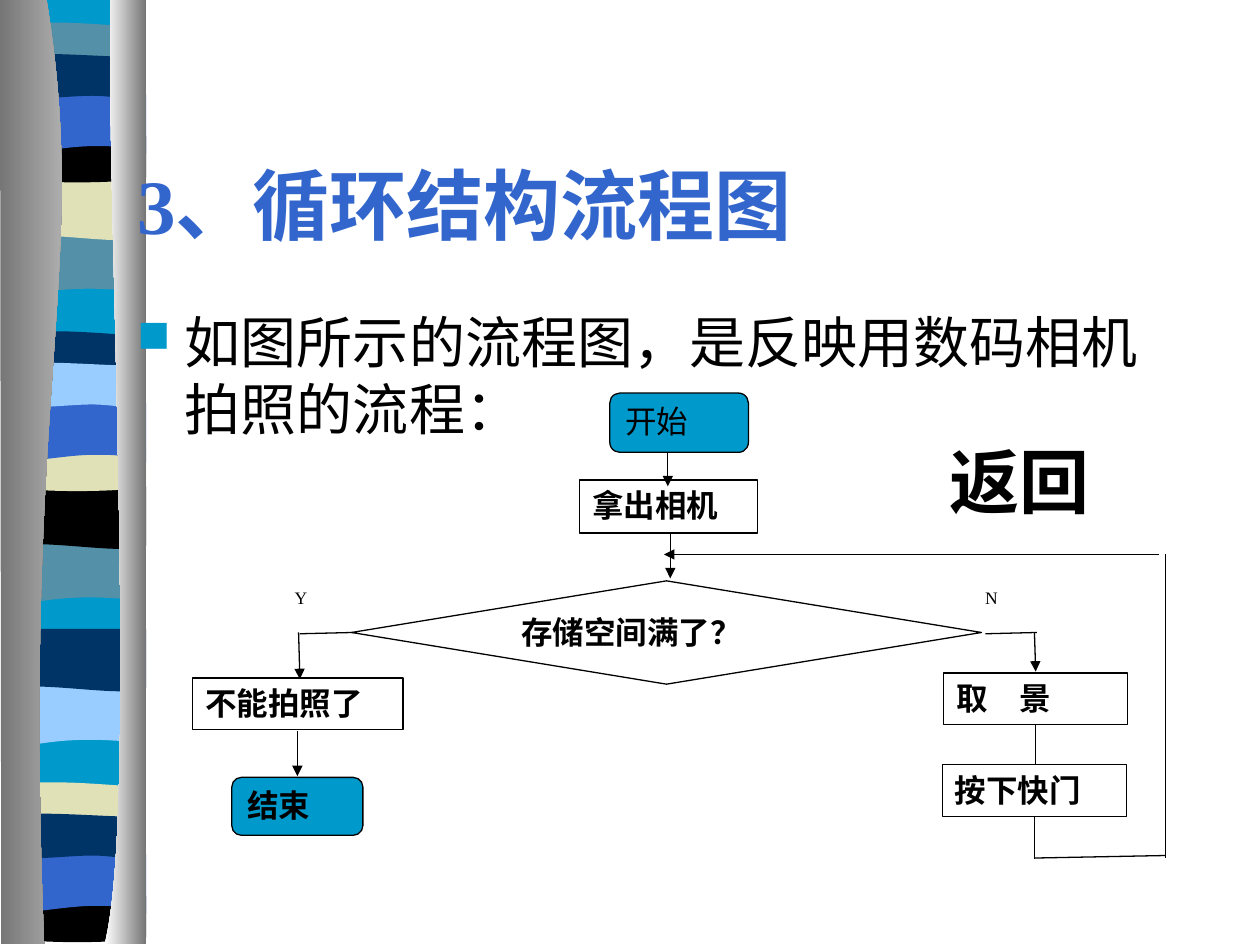
from lxml import etree
from pptx import Presentation
from pptx import util as u
from pptx.dml.color import RGBColor
from pptx.enum import shapes, text
from pptx.oxml import ns

I = u.Inches
SERIF, CJK = "Times New Roman", "Noto Sans CJK SC"
BLACK, WHITE, CYAN, BLUE = "000000", "FFFFFF", "0099CC", "3366CC"
TEAL, NAVY, SAND, SKY = "5490A8", "003366", "E1E1B7", "99CCFF"
GREY, SILVER = "767676", "C8C8C8"

# Outlines: a start point, then segments of one point (line) or three (curve)
BASE = [(1.16, 0), [(1.16, 7.47)], [(0.06, 7.47)], [(0.06, 0)]]
LEFT_COLUMN = [(0.37, 0), [(0.72, 2.17), (0.17, 2.96), (0.35, 7.49)],
               [(0.01, 7.49)], [(0, 0)]]
RIGHT_COLUMN = [(0.88, 0), [(0.83, 1.25), (1.11, 6.47), (0.83, 7.49)],
                [(1.16, 7.49)], [(1.16, 0)]]

# The stripe outlines recur down the band, each with three colours
UPPER, LOWER = (0, 2.45, 3.58), (0, 2.45, 6.03)
STRIPES = [
    (UPPER, (TEAL, TEAL, SKY),
     [(1.15, 1.85), [(1.15, 2.32)], [(0.39, 2.23), (0.24, 2.39), (0.05, 2.32)],
      [(0.05, 1.85)]]),
    (UPPER, (SAND, BLACK, NAVY),
     [(1.16, 1.41), [(1.16, 1.88)], [(0.98, 1.96), (0.4, 1.83), (0.06, 1.88)],
      [(0.06, 1.41)]]),
    (LOWER, (TEAL, NAVY, SAND),
     [(1.15, 0.22), [(1.15, 0.46)], [(0.97, 0.5), (0.24, 0.5), (0.05, 0.46)],
      [(0.05, 0.22)], [(0.12, 0.17), (0.29, 0.18), (0.47, 0.18)],
      [(0.66, 0.18), (1.01, 0.21), (1.15, 0.22)]]),
    (LOWER, (BLACK, SAND, BLACK),
     [(1.16, 1.08), [(1.16, 1.41)], [(0.98, 1.46), (0.25, 1.46), (0.06, 1.41)],
      [(0.06, 1.08)], [(0.74, 1.13), (0.93, 1.08), (1.16, 1.08)]]),
    (LOWER, (BLUE, BLUE, BLUE),
     [(1.16, 0.75), [(1.16, 1.22)], [(0.99, 1.16), (0.92, 1.16), (0.74, 1.16)],
      [(0.55, 1.16), (0.23, 1.22), (0.06, 1.22)], [(0.06, 0.75)]]),
    (LOWER, (NAVY, SKY, NAVY),
     [(1.15, 0.45), [(1.15, 0.76)], [(1.08, 0.81), (0.91, 0.76), (0.73, 0.76)],
      [(0.54, 0.76), (0.17, 0.81), (0.05, 0.76)], [(0.05, 0.45)],
      [(0.21, 0.4), (0.8, 0.45), (0.98, 0.45)],
      [(1.16, 0.45), (1.11, 0.45), (1.15, 0.45)]]),
]

RECT = shapes.MSO_SHAPE.RECTANGLE
ROUND = shapes.MSO_SHAPE.FLOWCHART_ALTERNATE_PROCESS
DIAMOND = shapes.MSO_SHAPE.FLOWCHART_DECISION

# Label, shape, left, top, width, height, fill
NODES = [
    ("存储空间满了？", DIAMOND, 2.79, 4.61, 5, 0.82, WHITE),
    ("不能拍照了", RECT, 1.53, 5.38, 1.67, 0.41, WHITE),
    ("取　景", RECT, 7.49, 5.34, 1.46, 0.41, WHITE),
    ("拿出相机", RECT, 4.6, 3.81, 1.41, 0.42, WHITE),
    ("结束", ROUND, 1.84, 6.17, 1.04, 0.46, CYAN),
    ("按下快门", RECT, 7.48, 6.07, 1.46, 0.41, WHITE),
]

# Start x, y, end x, y, arrowhead
LINES = [
    (5.3, 3.43, 5.3, 3.86, True),     # start to camera
    (5.32, 4.23, 5.32, 4.59, True),   # camera to decision
    (2.38, 5.03, 2.8, 5.02, False),   # yes branch
    (2.37, 5.02, 2.38, 5.39, True),
    (2.36, 5.8, 2.36, 6.16, True),
    (7.82, 5.03, 8.23, 5.02, False),  # no branch
    (8.21, 5.02, 8.22, 5.33, True),
    (8.22, 5.75, 8.22, 6.06, False),
    (8.21, 6.48, 8.21, 6.82, False),  # loop back
    (8.21, 6.81, 9.25, 6.79, False),
    (9.25, 4.4, 9.25, 6.81, False),
    (9.2, 4.4, 5.27, 4.4, True),
]


def rgb(color):
    return RGBColor.from_string(color)


def paint(sp, color):
    sp.fill.solid()
    sp.fill.fore_color.rgb = rgb(color)


def style_text(p, size, color=BLACK, bold=False, font=SERIF):
    for r in p.runs:
        r.font.size, r.font.bold, r.font.name = u.Pt(size), bold, font
        r.font.color.rgb = rgb(color)
        ea = etree.SubElement(r._r.get_or_add_rPr(), ns.qn("a:ea"))
        ea.set("typeface", CJK)


def add_outline(s, outline, dy=0):
    start, *segments = outline
    points = [(x * 100, (y + dy) * 100) for seg in segments for x, y in seg]
    fb = s.shapes.build_freeform(start[0] * 100, (start[1] + dy) * 100, scale=I(0.01))
    fb.add_line_segments(points, close=True)
    sp = fb.convert_to_shape()
    sp.shadow.inherit = False
    sp.line.fill.background()
    # Join the three steps of each curved segment into one Bezier curve
    steps = iter(sp._element.findall(".//" + ns.qn("a:lnTo")))
    for seg in segments:
        parts = [next(steps) for _ in seg]
        if len(parts) == 3:
            curve = etree.Element(ns.qn("a:cubicBezTo"))
            parts[0].addprevious(curve)
            for part in parts:
                curve.append(part[0])
                part.getparent().remove(part)
    return sp


def add_column(s, outline, colors):
    sp = add_outline(s, outline)
    sp.fill.gradient()
    sp.fill.gradient_angle = 0
    for stop, color, at in zip(sp.fill.gradient_stops, colors, (0, 1)):
        stop.color.rgb = rgb(color)
        stop.position = at


def add_side_band(s):
    paint(add_outline(s, BASE), CYAN)
    for i in range(3):
        for offsets, colors, outline in STRIPES:
            paint(add_outline(s, outline, offsets[i]), colors[i])
    add_column(s, LEFT_COLUMN, (GREY, SILVER))
    add_column(s, RIGHT_COLUMN, (WHITE, GREY))


def add_node(s, label, kind, x, y, w, h, fill, bold=True, size=18, outline=True):
    sp = s.shapes.add_shape(kind, I(x), I(y), I(w), I(h))
    sp.shadow.inherit = False
    paint(sp, fill)
    if outline:
        sp.line.color.rgb = rgb(BLACK)
        sp.line.width = u.Pt(0.75)
    else:
        sp.line.fill.background()
    tf = sp.text_frame
    tf.text = label
    tf.vertical_anchor = text.MSO_ANCHOR.TOP
    tf.paragraphs[0].alignment = text.PP_ALIGN.JUSTIFY
    style_text(tf.paragraphs[0], size, bold=bold)


def add_line(s, x0, y0, x1, y1, arrow):
    c = s.shapes.add_connector(shapes.MSO_CONNECTOR.STRAIGHT, I(x0), I(y0), I(x1), I(y1))
    c.line.color.rgb = rgb(BLACK)
    c.line.width = u.Pt(0.75)
    if arrow:
        etree.SubElement(c.line._get_or_add_ln(), ns.qn("a:tailEnd")).set("type", "triangle")
    etree.SubElement(c._element.spPr, ns.qn("a:effectLst"))


def add_text(s, words, x, y, w, h, size, **look):
    tf = s.shapes.add_textbox(I(x), I(y), I(w), I(h)).text_frame
    tf.word_wrap = True
    tf.text = words
    style_text(tf.paragraphs[0], size, **look)
    return tf.paragraphs[0]


def add_bullet(p):
    pPr = p._p.get_or_add_pPr()
    pPr.set("marL", str(I(0.38)))
    pPr.set("indent", str(-I(0.38)))
    color = etree.SubElement(pPr, ns.qn("a:buClr"))
    etree.SubElement(color, ns.qn("a:srgbClr")).set("val", CYAN)
    etree.SubElement(pPr, ns.qn("a:buSzPct")).set("val", "80000")
    etree.SubElement(pPr, ns.qn("a:buChar")).set("char", "■")


def set_title(s, words):
    sp = s.shapes.title
    sp.left, sp.top, sp.width, sp.height = I(0.99), I(0.99), I(8.5), I(1.25)
    tf = sp.text_frame
    tf.text = words
    tf.vertical_anchor = text.MSO_ANCHOR.MIDDLE
    tf.paragraphs[0].alignment = text.PP_ALIGN.LEFT
    style_text(tf.paragraphs[0], 44, BLUE, True)
    s.shapes._spTree.append(sp._element)  # in front of the side band


def main():
    prs = Presentation()
    prs.slide_width, prs.slide_height = I(10), I(7.5)
    s = prs.slides.add_slide(prs.slide_layouts[5])
    add_side_band(s)

    # Flow chart, the start node in front of its arrow
    for label, x in (("Y", 2.24), ("N", 7.72)):
        add_node(s, label, RECT, x, 4.61, 0.65, 0.37, WHITE, False, 10, False)
    for node in NODES:
        add_node(s, *node)
    for line in LINES:
        add_line(s, *line)
    add_node(s, "开始", ROUND, 4.84, 3.12, 1.1, 0.47, CYAN, False)

    # Title, body and return label
    set_title(s, "3、循环结构流程图")
    p = add_text(s, "如图所示的流程图，是反映用数码相机拍照的流程：",
                 0.99, 2.4, 8.5, 4.42, 32, font="Arial")
    p.line_spacing = u.Pt(38)
    add_bullet(p)
    add_text(s, "返回", 7.44, 3.43, 1.5, 0.77, 40, bold=True)

    prs.save("out.pptx")


if __name__ == "__main__":
    main()
